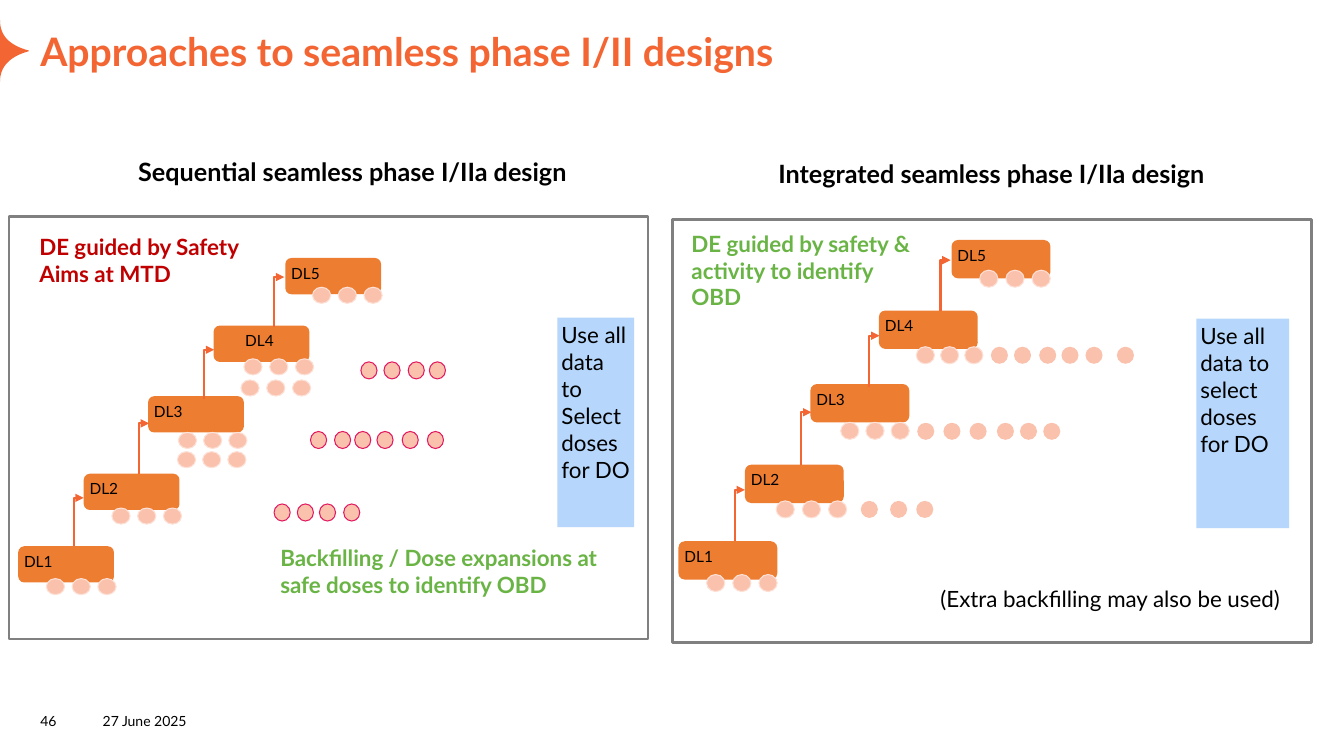
"""Build the slide on sequential and integrated seamless phase I/II designs."""
from dataclasses import dataclass

from lxml.etree import SubElement
from pptx import Presentation
from pptx.dml.color import RGBColor
from pptx.enum.shapes import MSO_CONNECTOR, MSO_SHAPE
from pptx.enum.text import MSO_ANCHOR, PP_ALIGN
from pptx.oxml.ns import qn
from pptx.util import Pt


@dataclass(frozen=True)
class Theme:
    font: str = "Lato"
    accent: str = "F36633"
    ink: str = "000000"
    safety: str = "C00000"
    activity: str = "69B445"
    level: str = "ED7D31"
    patient: str = "FAC2AD"
    patient_edge: str = "FDE0D6"
    backfill_edge: str = "E21860"
    decision: str = "83BBF9"
    frame: str = "808080"
    title: float = 28
    heading: float = 18
    body: float = 16
    label: float = 11
    footer: float = 10


THEME = Theme()
INSET = 2.9
STAR_START = (0, 14.4)
STAR_CURVES = [
    ((0, 25.9), (7.2, 32.4), (20.2, 36)),
    ((20.9, 36), (20.9, 36.7), (20.2, 36.7)),
    ((7.2, 40.3), (0, 47.5), (0, 58.3)),
]
TEXTS = [
    ("46", (28.8, 499.7, 42.5, 21.6), dict(size=THEME.footer, anchor=MSO_ANCHOR.BOTTOM)),
    ("27 June 2025", (73.4, 499.7, 218.9, 21.6), dict(size=THEME.footer, anchor=MSO_ANCHOR.BOTTOM)),
    ("Approaches to seamless phase I/II designs", (28.8, 19.4, 902.2, 33.8),
     dict(size=THEME.title, color=THEME.accent, bold=True, anchor=MSO_ANCHOR.BOTTOM)),
    ("Sequential seamless phase I/IIa design", (95.8, 108.7, 329.8, 28.1),
     dict(size=THEME.heading, bold=True, inset=INSET)),
    ("Integrated seamless phase I/IIa design", (553, 110.2, 329.8, 28.1),
     dict(size=THEME.heading, bold=True, inset=INSET)),
    ("DE guided by Safety\nAims at MTD", (28.1, 166.3, 146.9, 38.9),
     dict(color=THEME.safety, bold=True)),
    ("DE guided by safety & activity to identify OBD", (493.9, 164.2, 162, 31),
     dict(color=THEME.activity, bold=True)),
    ("Backfilling / Dose expansions at safe doses to identify OBD", (197.3, 385.9, 255.6, 49),
     dict(color=THEME.activity, bold=True, inset=INSET)),
    ("(Extra backfilling may also be used)", (668.9, 415.4, 258.5, 40.3), dict(inset=INSET)),
]
DECISIONS = [
    ("Use all data to Select doses for DO", (398.2, 226.8, 54.7, 149.8)),
    ("Use all data to select doses for DO", (854.6, 227.5, 66.2, 149.8)),
]
PANELS = [
    dict(
        frame=(6.5, 154.8, 456.5, 301.7),
        level_size=(68.4, 25.9),
        levels=[("DL1", 13, 390.2), ("DL2", 59.8, 338.4), ("DL3", 105.8, 283),
                ("DL4 ", 152.6, 232.6), ("DL5", 203.8, 184.3)],
        centred="DL4 ",
        patient_size=(13, 11.5),
        cohorts=[(33.1, 413.3, 18.4), (79.9, 362.9, 18.4), (127.4, 308.9, 18),
                 (126.7, 322.6, 18), (174.2, 256.3, 18.4), (172.1, 271.4, 18.4),
                 (223.2, 205.2, 18.4)],
        backfill_size=(11.5, 12.2),
        backfill_edge=THEME.backfill_edge,
        backfills=[(360, (195.8, 212.4, 228.2, 245.5)),
                   (308.2, (221.8, 239, 253.4, 269.3, 287.3, 305.3)),
                   (258.5, (257.8, 274.3, 291.6, 306.7))],
    ),
    dict(
        frame=(480.2, 157, 456.5, 301.7),
        level_size=(70.6, 27.4),
        levels=[("DL1", 484.6, 386.6), ("DL2", 532.1, 331.9), ("DL3", 578.9, 274.3),
                ("DL4", 627.8, 221.8), ("DL5", 679.7, 171.4)],
        centred=None,
        patient_size=(13, 12.2),
        cohorts=[(504.7, 410.4, 18.7), (554.4, 357.8, 18.7), (600.5, 301.7, 18),
                 (654.5, 247.7, 17.3), (699.8, 193, 18.7)],
        backfill_size=(12.2, 12.2),
        backfill_edge=None,
        backfills=[(357.8, (614.9, 635.8, 654.5)),
                   (302, (655.2, 673.9, 692.6, 712.1, 728.6, 745.2)),
                   (247.7, (707.8, 724.3, 742.3, 758.2, 775.4, 797.8))],
    ),
]
ARROW_RUN = 7.2
ARROW_FITS = [(7.2, 0, 4.3), (6.5, 0, 6.5), (6.8, 2.2, 4.3), (7.9, 0.7, 0.7)]


def paint(shape, fill=None, edge=None, weight=0.75):
    shape.shadow.inherit = False
    if fill:
        shape.fill.solid()
        shape.fill.fore_color.rgb = RGBColor.from_string(fill)
    else:
        shape.fill.background()
    if edge:
        shape.line.color.rgb = RGBColor.from_string(edge)
        shape.line.width = Pt(weight)
    else:
        shape.line.fill.background()


def write(shape, text, size=THEME.body, color=THEME.ink, bold=False,
          anchor=MSO_ANCHOR.TOP, align=PP_ALIGN.LEFT, inset=0):
    frame = shape.text_frame
    frame.word_wrap = True
    frame.vertical_anchor = anchor
    frame.margin_left = frame.margin_right = Pt(inset)
    frame.margin_top = frame.margin_bottom = Pt(inset)
    frame.text = text
    for para in frame.paragraphs:
        para.alignment = align
        for span in para.runs:
            span.font.name = THEME.font
            span.font.size = Pt(size)
            span.font.bold = bold
            span.font.color.rgb = RGBColor.from_string(color)


def add_box(page, kind, place, **look):
    box = page.shapes.add_shape(kind, *map(Pt, place))
    paint(box, **look)
    return box


def add_star(page):
    points, start = [], STAR_START
    for first, second, end in STAR_CURVES:
        for step in range(1, 17):
            t = step / 16
            points.append(tuple(
                Pt((1 - t) ** 3 * a + 3 * (1 - t) ** 2 * t * b + 3 * (1 - t) * t ** 2 * c + t ** 3 * d)
                for a, b, c, d in zip(start, first, second, end)))
        start = end
    builder = page.shapes.build_freeform(Pt(STAR_START[0]), Pt(STAR_START[1]))
    builder.add_line_segments(points, close=True)
    paint(builder.convert_to_shape(), fill=THEME.accent)


def add_escalation(page, left, bottom, top):
    middle_x, middle_y = left + ARROW_RUN / 2, (top + bottom) / 2
    half_rise, half_run = (bottom - top) / 2, ARROW_RUN / 2
    arrow = page.shapes.add_connector(
        MSO_CONNECTOR.ELBOW, Pt(middle_x + half_rise), Pt(middle_y + half_run),
        Pt(middle_x - half_rise), Pt(middle_y - half_run))
    arrow.line.color.rgb = RGBColor.from_string(THEME.accent)
    arrow.line.width = Pt(1.5)
    properties = arrow._element.spPr
    properties.find(qn("a:xfrm")).set("rot", "5400000")
    properties.find(qn("a:prstGeom")).set("prst", "bentConnector2")
    SubElement(properties.find(qn("a:ln")), qn("a:tailEnd"), type="triangle")
    SubElement(properties, qn("a:effectLst"))


def add_panel(page, panel):
    width, height = panel["level_size"]
    levels = panel["levels"]
    for name, x, y in levels:
        box = add_box(page, MSO_SHAPE.ROUNDED_RECTANGLE, (x, y, width, height), fill=THEME.level)
        align = PP_ALIGN.CENTER if name == panel["centred"] else PP_ALIGN.LEFT
        write(box, name, size=THEME.label, align=align, inset=INSET)
    for lower, upper, (gap, drop, landing) in zip(levels, levels[1:], ARROW_FITS):
        add_escalation(page, upper[1] - gap, lower[2] + drop, upper[2] + height / 2 + landing)
    for x, y, pitch in panel["cohorts"]:
        for patient in range(3):
            add_box(page, MSO_SHAPE.FLOWCHART_CONNECTOR, (x + patient * pitch, y, *panel["patient_size"]),
                    fill=THEME.patient, edge=THEME.patient_edge)
    for y, lefts in panel["backfills"]:
        for x in lefts:
            add_box(page, MSO_SHAPE.FLOWCHART_CONNECTOR, (x, y, *panel["backfill_size"]),
                    fill=THEME.patient, edge=panel["backfill_edge"])
    add_box(page, MSO_SHAPE.RECTANGLE, panel["frame"], edge=THEME.frame, weight=2)


def main():
    deck = Presentation()
    deck.slide_width, deck.slide_height = Pt(960), Pt(540)
    page = deck.slides.add_slide(deck.slide_layouts[6])
    add_star(page)
    for panel in PANELS:
        add_panel(page, panel)
    for text, place, style in TEXTS:
        write(page.shapes.add_textbox(*map(Pt, place)), text, **style)
    for text, place in DECISIONS:
        box = add_box(page, MSO_SHAPE.RECTANGLE, place, fill=THEME.decision)
        color = box._element.spPr.find(qn("a:solidFill")).find(qn("a:srgbClr"))
        SubElement(color, qn("a:alpha"), val="59000")
        write(box, text, inset=INSET)
    deck.save("out.pptx")


if __name__ == "__main__":
    main()
